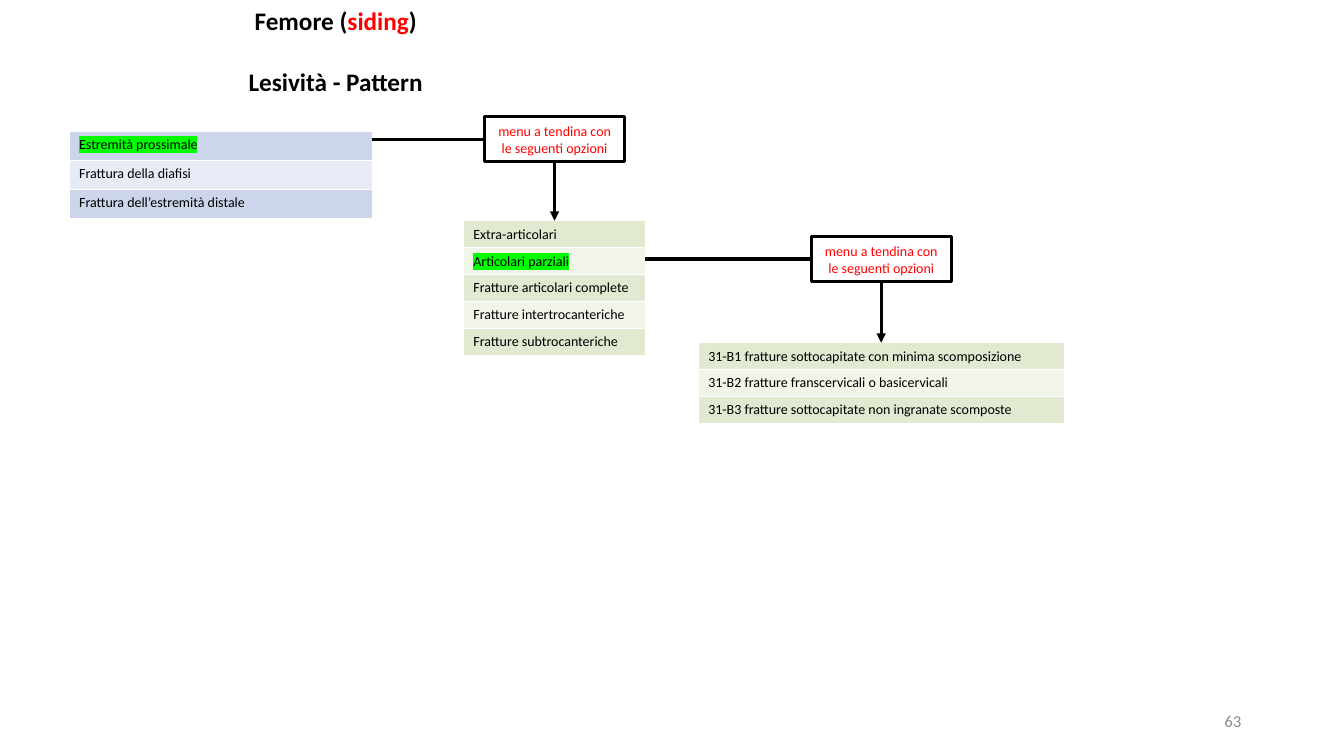
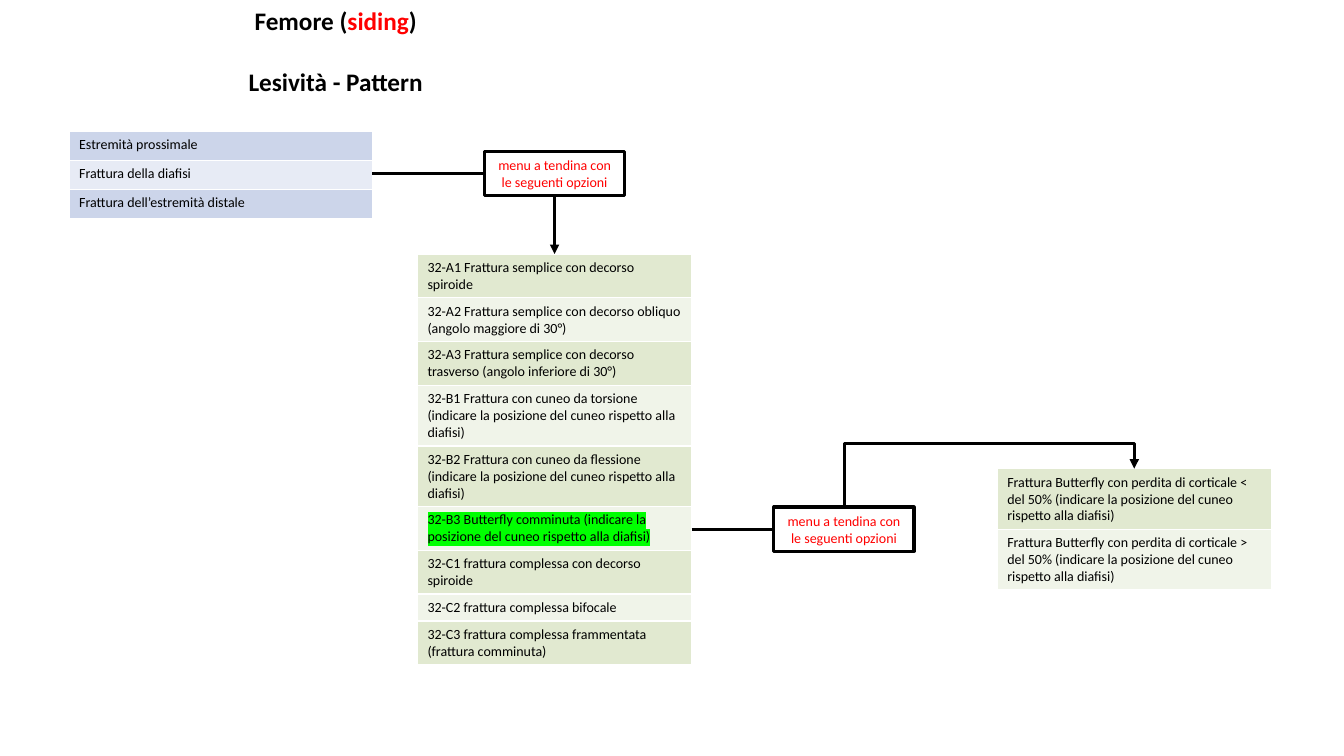
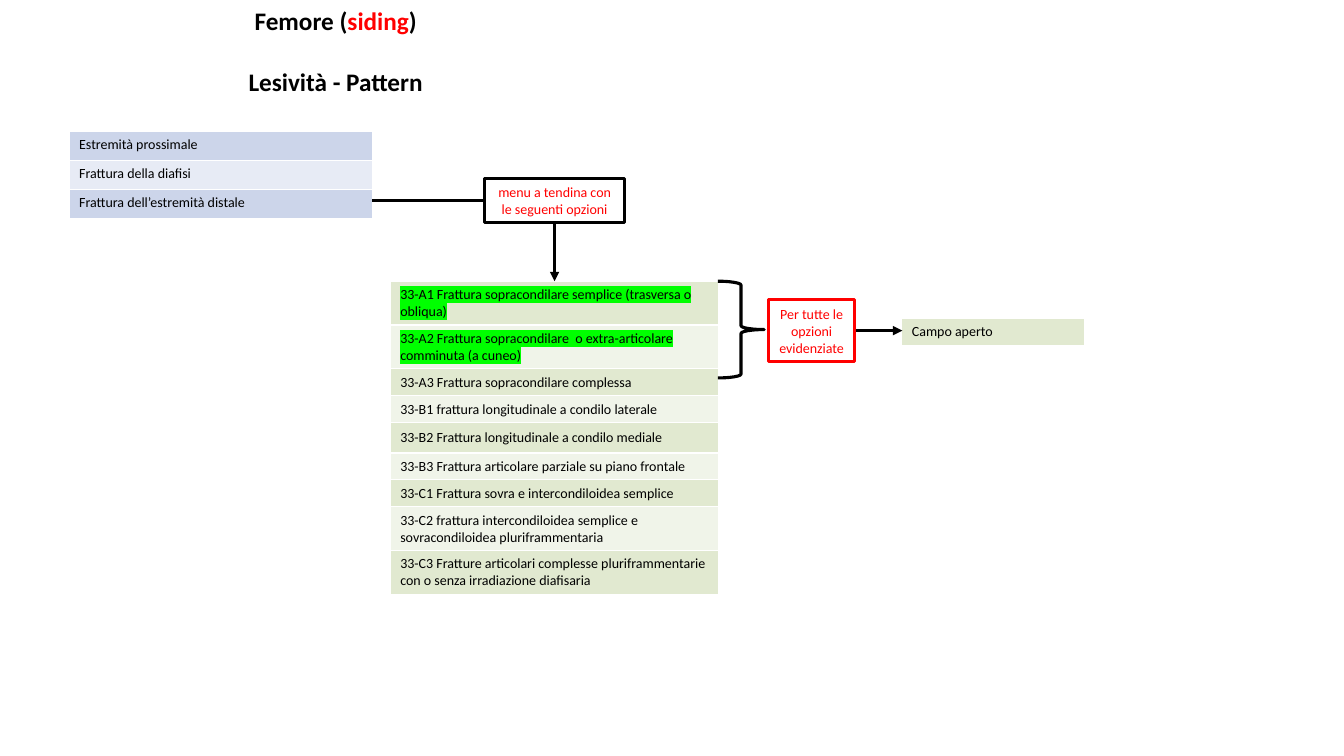
import dataclasses

import lxml.etree
import pptx
import pptx.dml.color
import pptx.enum.shapes
import pptx.enum.text
import pptx.oxml.ns
import pptx.util

Inches, Pt = pptx.util.Inches, pptx.util.Pt
SHAPE = pptx.enum.shapes.MSO_SHAPE
CONNECTOR = pptx.enum.shapes.MSO_CONNECTOR
ALIGN = pptx.enum.text.PP_ALIGN
ANCHOR = pptx.enum.text.MSO_ANCHOR
qn = pptx.oxml.ns.qn
rgb = pptx.dml.color.RGBColor.from_string


@dataclasses.dataclass(frozen=True)
class Theme:
    font: str = "Calibri"
    title_size: int = 18
    number_size: int = 12
    body_size: int = 10
    line_width: float = 2.25
    black: str = "000000"
    white: str = "FFFFFF"
    red: str = "FF0000"
    grey: str = "8C8C8C"
    highlight: str = "00FF00"
    blues: tuple = ("CCD5EA", "E7EBF5")
    greens: tuple = ("E1E9D0", "F0F4E9")


theme = Theme()


def style_run(r, size, color, bold=False, highlighted=False):
    r.font.size = Pt(size)
    r.font.bold = bold
    r.font.color.rgb = rgb(color)
    if highlighted:
        mark = lxml.etree.SubElement(r.font._element, qn("a:highlight"))
        lxml.etree.SubElement(mark, qn("a:srgbClr"), val=theme.highlight)
    r.font.name = theme.font


def add_arrow(s, start, end, preset, adjustments=()):
    """Draw an arrow of a preset connector geometry; adjustments are fractions of its size."""
    kind = CONNECTOR.STRAIGHT if preset == "line" else CONNECTOR.ELBOW
    arrow = s.shapes.add_connector(kind, *map(Inches, start + end))
    arrow.line.color.rgb = rgb(theme.black)
    arrow.line.width = Pt(theme.line_width)
    lxml.etree.SubElement(arrow.line._get_or_add_ln(), qn("a:tailEnd"), type="triangle")
    sp_pr = arrow._element.spPr
    lxml.etree.SubElement(sp_pr, qn("a:effectLst"))
    geometry = sp_pr.find(qn("a:prstGeom"))
    geometry.set("prst", preset)
    for i, fraction in enumerate(adjustments, 1):
        lxml.etree.SubElement(geometry.find(qn("a:avLst")), qn("a:gd"),
                              name=f"adj{i}", fmla=f"val {round(fraction * 100000)}")
    return arrow


# Row heights for one, two and three lines of text
ONE, TWO, THREE = 0.26, 0.43, 0.6
SITES = ["Estremità prossimale", "Frattura della diafisi", "Frattura dell’estremità distale"]
SITES_RIGHT = 3.69
MENU = ("menu a tendina con le seguenti opzioni", theme.black, 1.39, 0.44)
MENU_X = 5.5
OPEN_FIELD = ("Per tutte le opzioni evidenziate", theme.red, 0.86, 0.61)

# tables: centre, top, width, highlighted rows, (text, height) of each row
# box: kind, centre x and y
# arrow: start, end, preset, adjustments
slides = [
    {
        "number": "63",
        "highlighted_sites": [0],
        "menu_y": 1.38,
        "tables": [
            (MENU_X, 2.19, 1.81, [1], [
                ("Extra-articolari", ONE),
                ("Articolari parziali", ONE),
                ("Fratture articolari complete", ONE),
                ("Fratture intertrocanteriche", ONE),
                ("Fratture subtrocanteriche", ONE),
            ]),
            (8.74, 3.4, 3.63, [], [
                ("31-B1 fratture sottocapitate con minima scomposizione", ONE),
                ("31-B2 fratture franscervicali o basicervicali", ONE),
                ("31-B3 fratture sottocapitate non ingranate scomposte", ONE),
            ]),
        ],
        "box": (MENU, 8.74, 2.57),
        "arrow": ((6.4, 2.57), (8.74, 3.4), "bentConnector2"),
    },
    {
        "highlighted_sites": [],
        "menu_y": 1.72,
        "tables": [
            (MENU_X, 2.52, 2.72, [5], [
                ("32-A1 Frattura semplice con decorso spiroide", TWO),
                ("32-A2 Frattura semplice con decorso obliquo (angolo maggiore di 30°)", TWO),
                ("32-A3 Frattura semplice con decorso trasverso (angolo inferiore di 30°)", TWO),
                ("32-B1 Frattura con cuneo da torsione "
                 "(indicare la posizione del cuneo rispetto alla diafisi)", THREE),
                ("32-B2 Frattura con cuneo da flessione "
                 "(indicare la posizione del cuneo rispetto alla diafisi)", THREE),
                ("32-B3 Butterfly comminuta "
                 "(indicare la posizione del cuneo rispetto alla diafisi)", TWO),
                ("32-C1 frattura complessa con decorso spiroide", TWO),
                ("32-C2 frattura complessa bifocale", ONE),
                ("32-C3 frattura complessa frammentata (frattura comminuta)", TWO),
            ]),
            (11.25, 4.65, 2.72, [], [
                (f"Frattura Butterfly con perdita di corticale {sign} del 50% "
                 "(indicare la posizione del cuneo rispetto alla diafisi)", THREE)
                for sign in "<>"
            ]),
        ],
        "box": (MENU, 8.37, 5.25),
        "arrow": ((6.86, 5.25), (11.25, 4.65), "bentConnector4", (0.345, 1.415)),
    },
    {
        "highlighted_sites": [],
        "menu_y": 1.99,
        "tables": [
            (MENU_X, 2.79, 3.26, [0, 1], [
                ("33-A1 Frattura sopracondilare semplice (trasversa o obliqua)", TWO),
                ("33-A2 Frattura sopracondilare  o extra-articolare comminuta (a cuneo)", TWO),
                ("33-A3 Frattura sopracondilare complessa", ONE),
                ("33-B1 frattura longitudinale a condilo laterale", ONE),
                ("33-B2 Frattura longitudinale a condilo mediale", 0.3),
                ("33-B3 Frattura articolare parziale su piano frontale", ONE),
                ("33-C1 Frattura sovra e intercondiloidea semplice", ONE),
                ("33-C2 frattura intercondiloidea semplice e "
                 "sovracondiloidea pluriframmentaria", TWO),
                ("33-C3 Fratture articolari complesse pluriframmentarie "
                 "con o senza irradiazione diafisaria", TWO),
            ]),
            (9.85, 3.16, 1.81, [], [("Campo aperto", ONE)]),
        ],
        "box": (OPEN_FIELD, 8.05, 3.28),
        "arrow": ((8.48, 3.28), (8.95, 3.28), "line"),
        "brace": (7.12, 2.79, 0.46, 0.96),
    },
]

prs = pptx.Presentation()
prs.slide_width, prs.slide_height = Inches(13.33), Inches(7.5)

for content in slides:
    s = prs.slides.add_slide(prs.slide_layouts[6])

    # Title
    tf = s.shapes.add_textbox(Inches(0), Inches(0), Inches(6.66), Inches(1.01)).text_frame
    tf.word_wrap = True
    p = tf.paragraphs[0]
    p.alignment = ALIGN.CENTER
    for text, color in (("Femore (", theme.black), ("siding", theme.red), (")", theme.black)):
        r = p.add_run()
        r.text = text
        style_run(r, theme.title_size, color, bold=True)
    p = tf.add_paragraph()
    p.text = "Lesività - Pattern"
    p.alignment = ALIGN.CENTER
    p.space_before = Pt(22)
    style_run(p.runs[0], theme.title_size, theme.black, bold=True)

    # Tables: fracture sites in blue, options in green
    sites = (2.19, 1.3, 3.01, content["highlighted_sites"], [(text, 0.29) for text in SITES])
    for center, top, width, highlighted, rows in [sites] + content["tables"]:
        is_sites = rows is sites[-1]
        fills = theme.blues if is_sites else theme.greens
        table = s.shapes.add_table(
            len(rows), 1, Inches(center - width / 2), Inches(top), Inches(width),
            Inches(sum(height for _, height in rows))).table
        table.first_row = table.horz_banding = False
        for i, (text, height) in enumerate(rows):
            table.rows[i].height = Inches(height)
            cell = table.cell(i, 0)
            cell.fill.solid()
            cell.fill.fore_color.rgb = rgb(fills[i % 2])
            cell.vertical_anchor = ANCHOR.TOP if is_sites else ANCHOR.MIDDLE
            cell.text_frame.text = text
            style_run(cell.text_frame.paragraphs[0].runs[0], theme.body_size, theme.black,
                      highlighted=i in highlighted)

    # Arrows, with the boxes that lie on them
    menu_y = content["menu_y"]
    options_top = content["tables"][0][1]
    menu_arrow = ((SITES_RIGHT, menu_y), (MENU_X, options_top), "bentConnector2")
    for (kind, x, y), route in (((MENU, MENU_X, menu_y), menu_arrow),
                                (content["box"], content["arrow"])):
        arrow = add_arrow(s, *route)
        text, color, width, height = kind
        box = s.shapes.add_shape(SHAPE.RECTANGLE, Inches(x - width / 2), Inches(y - height / 2),
                                 Inches(width), Inches(height))
        box.shadow.inherit = False
        box.fill.solid()
        box.fill.fore_color.rgb = rgb(theme.white)
        box.line.color.rgb = rgb(color)
        box.line.width = Pt(theme.line_width)
        box.text_frame.word_wrap = True
        box.text_frame.text = text
        p = box.text_frame.paragraphs[0]
        p.alignment = ALIGN.CENTER
        style_run(p.runs[0], theme.body_size, theme.red)
        if kind is OPEN_FIELD:
            arrow.begin_connect(box, 3)

    if "brace" in content:
        brace = s.shapes.add_shape(SHAPE.RIGHT_BRACE, *map(Inches, content["brace"]))
        brace.shadow.inherit = False
        brace.fill.background()
        brace.line.color.rgb = rgb(theme.black)
        brace.line.width = Pt(theme.line_width)

    if "number" in content:
        tf = s.shapes.add_textbox(Inches(9.41), Inches(6.95), Inches(3), Inches(0.4)).text_frame
        tf.word_wrap = True
        tf.vertical_anchor = ANCHOR.MIDDLE
        tf.text = content["number"]
        p = tf.paragraphs[0]
        p.alignment = ALIGN.RIGHT
        style_run(p.runs[0], theme.number_size, theme.grey)

prs.save("out.pptx")
